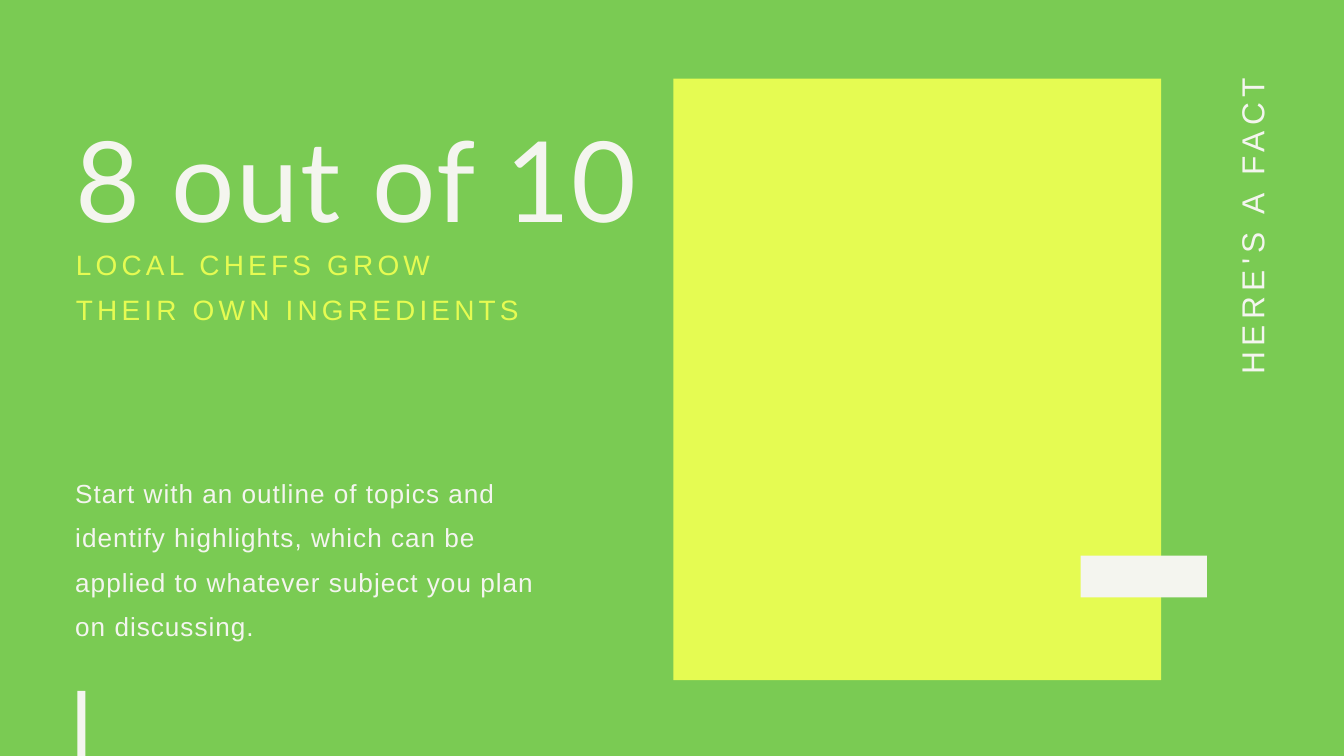
from collections import namedtuple

from pptx import Presentation
from pptx import util as u
from pptx.dml import color
from pptx.enum import shapes, text

COLUMNS, ROWS = 20, 11.25  # grid of one-inch squares
GREEN, LIME, CREAM = "7ACB53", "E5FB52", "F4F5EF"

Box = namedtuple("Box", "left top width height")


def paint(fill, value):
    fill.solid()
    fill.fore_color.rgb = color.RGBColor.from_string(value)


def inside(box, left, top, width, height):
    """Place a part by its offset from the corner of a region."""
    return Box(box.left + left, box.top + top, width, height)


def add_block(page, box, value):
    block = page.shapes.add_shape(shapes.MSO_SHAPE.RECTANGLE, *map(u.Inches, box))
    block.shadow.inherit = False
    paint(block.fill, value)
    block.line.fill.background()


def add_words(page, box, words, size, line, tracking, value=CREAM, font="Arial"):
    label = page.shapes.add_textbox(*map(u.Inches, box))
    frame = label.text_frame
    frame.text = words
    frame.word_wrap = True
    frame.auto_size = text.MSO_AUTO_SIZE.SHAPE_TO_FIT_TEXT
    frame.margin_left = frame.margin_top = frame.margin_right = frame.margin_bottom = 0
    para = frame.paragraphs[0]
    para.line_spacing = u.Pt(line)
    span = para.runs[0]
    span.font.size = u.Pt(size)
    span.font.name = font
    paint(span.font.fill, value)
    # Letter spacing is in hundredths of a point
    span.font._element.set("spc", str(round(tracking * 100)))
    return label


def add_side_title(page, box):
    # The label is laid flat around the centre of its tall box, then turned
    middle_x, middle_y = box.left + box.width / 2, box.top + box.height / 2
    flat = Box(middle_x - box.height / 2, middle_y - box.width / 2,
               box.height, box.width)
    label = add_words(page, flat, "HERE'S A FACT", 34, 47.6, 5.8)
    label.text_frame.paragraphs[0].alignment = text.PP_ALIGN.RIGHT
    label.rotation = 270


def add_panel(page, box):
    add_block(page, box, LIME)
    # Tag that overhangs the right edge
    add_block(page, inside(box, box.width - 1.2, 7.1, 1.88, 0.62), CREAM)


def add_fact(page, box):
    # Headline figure and its subtitle
    add_words(page, inside(box, 0, 0, 10.49, 2.08), "8 out of 10",
              120, 156, 1.7, font="Lato")
    add_words(page, inside(box, 0.01, 2.04, box.width, 1.25),
              "LOCAL CHEFS GROW THEIR OWN INGREDIENTS", 30, 48, 4.5, LIME)
    # Body text
    add_words(page, inside(box, 0, 5.43, box.width, 2.58),
              "Start with an outline of topics and identify highlights, which can "
              "be applied to whatever subject you plan on discussing.", 28, 47.6, 1.1)
    # Bar that runs off the bottom edge
    add_block(page, inside(box, 0.03, 8.8, 0.12, 2.22), CREAM)


def main():
    deck = Presentation()
    deck.slide_width, deck.slide_height = u.Inches(COLUMNS), u.Inches(ROWS)
    page = deck.slides.add_slide(deck.slide_layouts[6])
    paint(page.background.fill, GREEN)

    add_side_title(page, Box(18.25, 1.16, 0.62, 8.6))
    add_panel(page, Box(10.02, 1.17, 7.26, 8.95))
    add_fact(page, Box(1.12, 1.48, 6.97, 9.77))

    deck.save("out.pptx")


if __name__ == "__main__":
    main()
